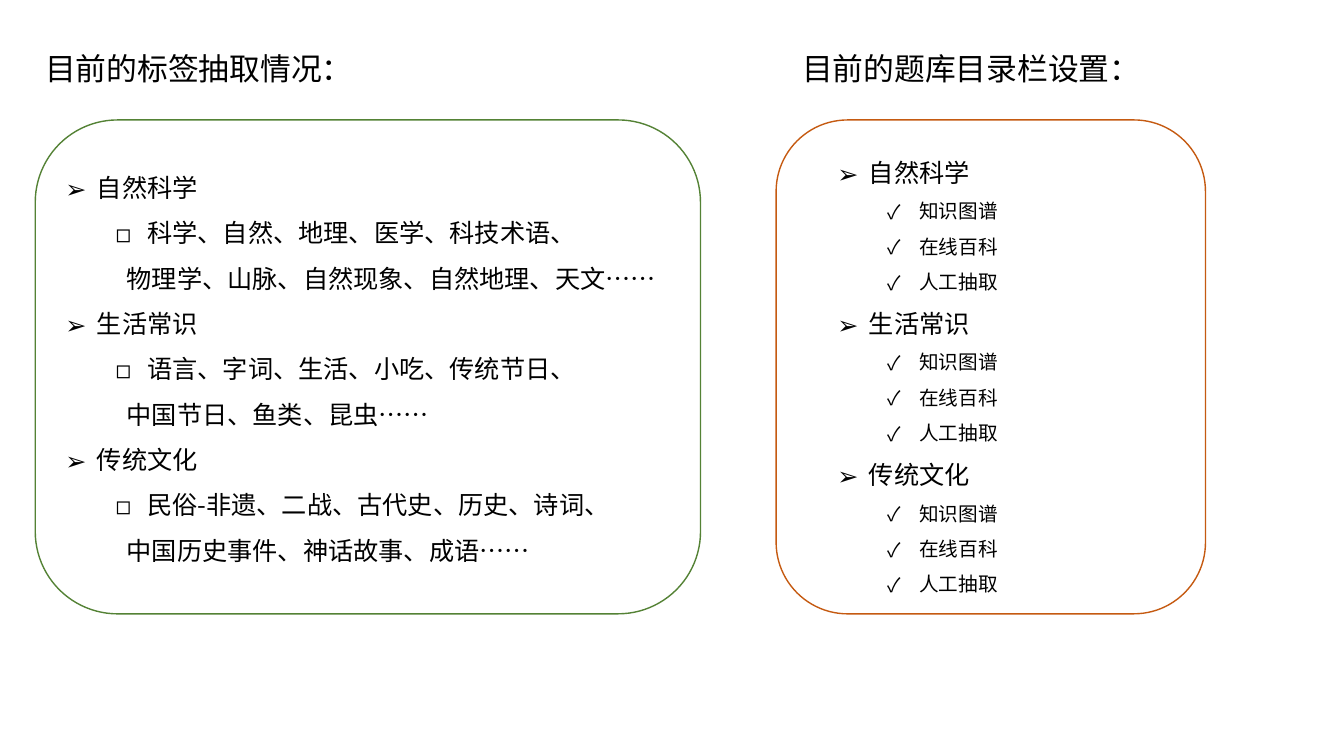
from lxml.etree import SubElement
from pptx import Presentation
from pptx.dml.color import RGBColor
from pptx.enum.shapes import MSO_SHAPE as Shape
from pptx.enum.text import MSO_AUTO_SIZE as AutoSize
from pptx.oxml.ns import qn
from pptx.util import Pt

FONT = "Noto Sans CJK SC"
BLACK, GREEN, ORANGE = "000000", "548235", "C55A11"
HANGING = 22.5
TOPIC_INDENT, ITEM_INDENT, CONTINUED_INDENT = 22.5, 58.5, 43.8

# Each topic has a bulleted line of tags and its continuation
TAGS = {
    "自然科学": ("科学、自然、地理、医学、科技术语、",
             "物理学、山脉、自然现象、自然地理、天文……"),
    "生活常识": ("语言、字词、生活、小吃、传统节日、",
             "中国节日、鱼类、昆虫……"),
    "传统文化": ("民俗-非遗、二战、古代史、历史、诗词、",
             "中国历史事件、神话故事、成语……"),
}
SOURCES = ("知识图谱", "在线百科", "人工抽取")


def color(value):
    return RGBColor.from_string(value)


def style_text(paragraph, size):
    for run in paragraph.runs:
        run.font.size = Pt(size)
        run.font.name = FONT
        run.font.color.rgb = color(BLACK)
        SubElement(run.font._element, qn("a:ea"), typeface=FONT)


def add_text_frame(slide, left, top, width, height):
    box = slide.shapes.add_textbox(Pt(left), Pt(top), Pt(width), Pt(height))
    box.text_frame.word_wrap = False
    box.text_frame.auto_size = AutoSize.SHAPE_TO_FIT_TEXT
    return box.text_frame


def add_heading(slide, text, left, width):
    text_frame = add_text_frame(slide, left, 31.7, width, 33.8)
    text_frame.text = text
    style_text(text_frame.paragraphs[0], 22)


def add_list(slide, lines, left, top, width, height):
    """Each line is (text, size, level, indent, bullet or None)."""
    text_frame = add_text_frame(slide, left, top, width, height)
    text_frame.text = "\n".join(line[0] for line in lines)
    for paragraph, line in zip(text_frame.paragraphs, lines):
        _, size, level, indent, bullet = line
        paragraph.level = level
        paragraph.line_spacing = 1.5
        properties = paragraph._p.get_or_add_pPr()
        properties.set("marL", str(Pt(indent)))
        properties.set("indent", str(Pt(-HANGING) if bullet else 0))
        if bullet:
            SubElement(properties, qn("a:buFont"), typeface=FONT)
            SubElement(properties, qn("a:buChar"), char=bullet)
        style_text(paragraph, size)


def add_frame(slide, left, width, line_color):
    shape = slide.shapes.add_shape(
        Shape.ROUNDED_RECTANGLE, Pt(left), Pt(85.7), Pt(width), Pt(352.8))
    shape.shadow.inherit = False
    shape.fill.background()
    shape.line.color.rgb = color(line_color)
    shape.line.width = Pt(1)


def main():
    presentation = Presentation()
    presentation.slide_width, presentation.slide_height = Pt(960), Pt(540)
    slide = presentation.slides.add_slide(presentation.slide_layouts[6])

    tag_lines, catalog_lines = [], []
    for topic, (first, continued) in TAGS.items():
        topic_line = (topic, 18, 0, TOPIC_INDENT, "➢")
        tag_lines += [topic_line,
                      (first, 18, 1, ITEM_INDENT, "◻"),
                      (continued, 18, 1, CONTINUED_INDENT, None)]
        catalog_lines.append(topic_line)
        catalog_lines += [(source, 14, 1, ITEM_INDENT, "✓")
                          for source in SOURCES]

    # Left: extracted tags
    add_heading(slide, "目前的标签抽取情况：", 25.2, 236.9)
    add_list(slide, tag_lines, 39.6, 108.7, 450.7, 296.6)
    add_frame(slide, 25.2, 475.2, GREEN)

    # Right: question bank catalog
    add_heading(slide, "目前的题库目录栏设置：", 565.9, 259.2)
    add_list(slide, catalog_lines, 591.1, 97.9, 130.3, 330.5)
    add_frame(slide, 554.4, 306.7, ORANGE)

    presentation.save("out.pptx")


if __name__ == "__main__":
    main()
